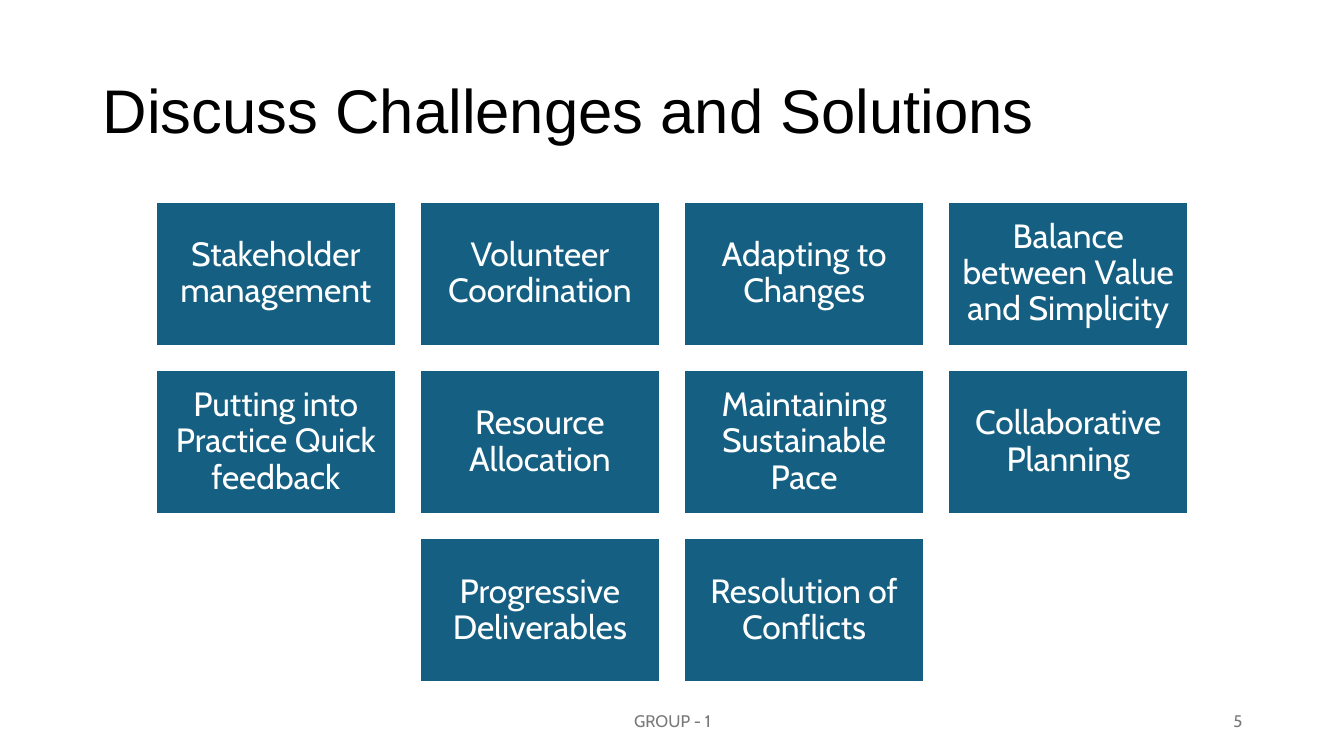
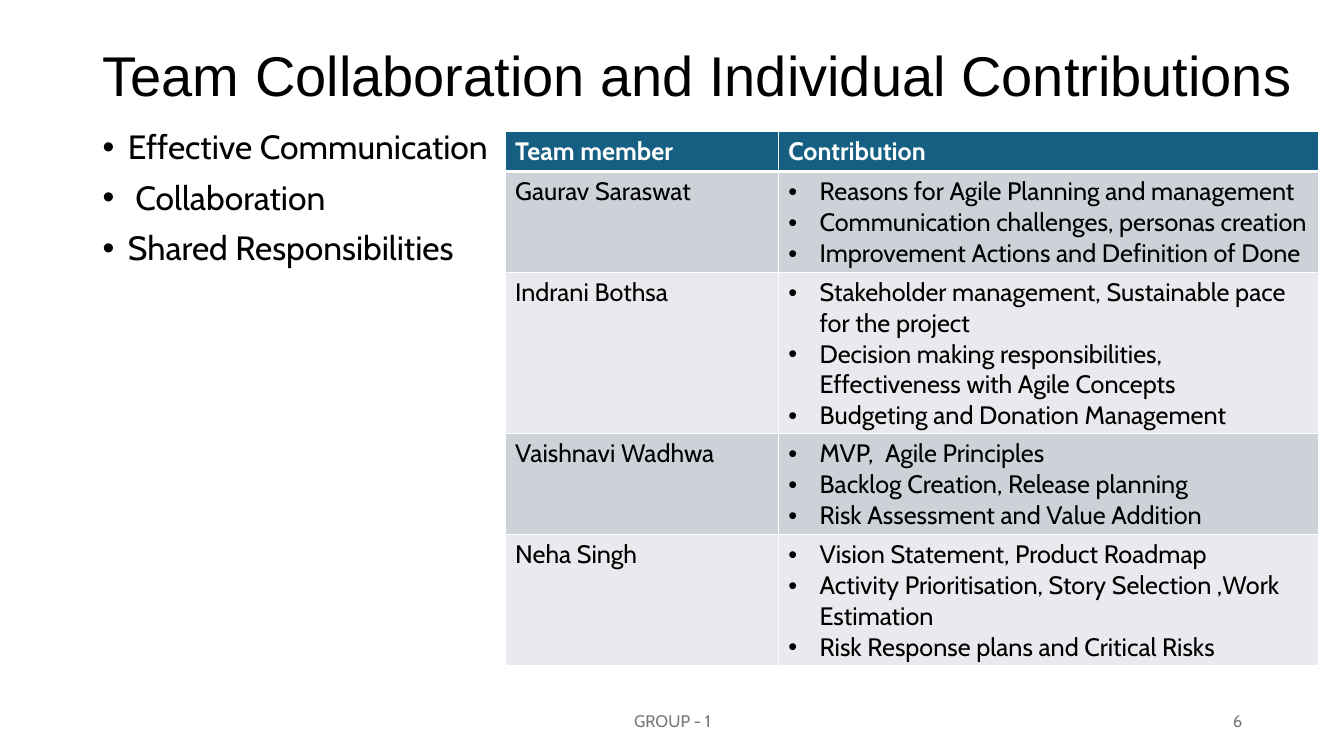
from lxml.etree import SubElement as Sub
from pptx import Presentation
from pptx.dml.color import RGBColor as Color
from pptx.enum.shapes import MSO_SHAPE as Kind
from pptx.enum.text import MSO_ANCHOR as Anchor, PP_ALIGN as Align
from pptx.oxml.ns import qn
from pptx.util import Inches, Pt

BLUE = Color(0x15, 0x60, 0x82)
WHITE = Color(0xFF, 0xFF, 0xFF)
BLACK = Color(0, 0, 0)
GRAY = Color(0x79, 0x79, 0x79)
BANDS = (Color(0xCC, 0xD2, 0xD8), Color(0xE8, 0xEA, 0xED))
HEAD, BODY = "Arial", "Cabin"
WIDE, HIGH = 13.33, 7.5

TILES = [
    ["Stakeholder management", "Volunteer Coordination",
     "Adapting to Changes", "Balance between Value and Simplicity"],
    ["Putting into Practice Quick feedback", "Resource Allocation",
     "Maintaining Sustainable Pace", "Collaborative Planning"],
    ["Progressive Deliverables", "Resolution of Conflicts"],
]
POINTS = ["Effective Communication", " Collaboration", "Shared Responsibilities"]
TEAM = [
    ("Gaurav Saraswat", ["Reasons for Agile Planning and management",
                         "Communication challenges, personas creation",
                         "Improvement Actions and Definition of Done"]),
    ("Indrani Bothsa", ["Stakeholder management, Sustainable pace for the project",
                        "Decision making responsibilities, Effectiveness with Agile Concepts",
                        "Budgeting and Donation Management"]),
    ("Vaishnavi Wadhwa", ["MVP,  Agile Principles",
                          "Backlog Creation, Release planning",
                          "Risk Assessment and Value Addition"]),
    ("Neha Singh", ["Vision Statement, Product Roadmap",
                    "Activity Prioritisation, Story Selection ,Work Estimation",
                    "Risk Response plans and Critical Risks"]),
]


class Deck:
    """Hold the shared style and the slide being built."""

    def __init__(self):
        self.show = Presentation()
        self.show.slide_width = Inches(WIDE)
        self.show.slide_height = Inches(HIGH)

    def page(self, title, size, box, num):
        self.slide = self.show.slides.add_slide(self.show.slide_layouts[6])
        self.label(box, [title], size, BLACK, font=HEAD, line=0.9, after=6)
        self.label((4.42, 6.95, 4.5, 0.4), ["GROUP - 1"], 12, GRAY, align=Align.CENTER)
        self.label((9.42, 6.95, 3, 0.4), [str(num)], 12, GRAY, align=Align.RIGHT)

    def words(self, frame, lines, size, color, font=BODY, bold=False,
              align=Align.LEFT, line=None, before=0, after=0, indent=0):
        frame.text = "\n".join(lines)
        for para in frame.paragraphs:
            para.alignment = align
            para.line_spacing = line
            para.space_before, para.space_after = Pt(before), Pt(after)
            if indent:
                self.bullet(para, indent)
            for run in para.runs:
                run.font.name, run.font.size = font, Pt(size)
                run.font.bold = bold
                run.font.color.rgb = color

    def bullet(self, para, indent):
        props = para._p.get_or_add_pPr()
        props.set("marL", str(Inches(indent)))
        props.set("indent", str(Inches(-indent)))
        Sub(props, qn("a:buFont"), typeface=HEAD)
        Sub(props, qn("a:buChar"), char="•")

    def label(self, box, lines, size, color, anchor=Anchor.MIDDLE, **style):
        frame = self.slide.shapes.add_textbox(*map(Inches, box)).text_frame
        frame.word_wrap = True
        frame.vertical_anchor = anchor
        self.words(frame, lines, size, color, **style)

    def tile(self, box, text):
        shape = self.slide.shapes.add_shape(Kind.RECTANGLE, *map(Inches, box))
        shape.shadow.inherit = False
        shape.fill.solid()
        shape.fill.fore_color.rgb = BLUE
        shape.line.color.rgb = WHITE
        shape.line.width = Pt(1.5)
        frame = shape.text_frame
        frame.word_wrap = True
        frame.vertical_anchor = Anchor.MIDDLE
        frame.margin_left = frame.margin_right = Inches(0.1)
        frame.margin_top = frame.margin_bottom = Inches(0.1)
        self.words(frame, [text], 24, WHITE, align=Align.CENTER, line=0.9)

    def grid(self, rows, top, wide, high, gap):
        for i, row in enumerate(rows):
            left = (WIDE - len(row) * (wide + gap) + gap) / 2
            for j, text in enumerate(row):
                self.tile((left + j * (wide + gap), top + i * (high + gap), wide, high), text)

    def cell(self, cell, lines, fill, color, top=1, base=1, **style):
        self.words(cell.text_frame, lines, 18, color, **style)
        props = cell._tc.get_or_add_tcPr()
        for side, width in zip("LRTB", (1, 1, top, base)):
            edge = Sub(props, qn(f"a:ln{side}"), w=str(Pt(width)))
            Sub(Sub(edge, qn("a:solidFill")), qn("a:srgbClr"), val=str(WHITE))
        cell.fill.solid()
        cell.fill.fore_color.rgb = fill

    def table(self, left, top, wides, highs, heads, rows):
        size = map(Inches, (left, top, sum(wides), sum(highs)))
        table = self.slide.shapes.add_table(len(highs), len(wides), *size).table
        for col, wide in zip(table.columns, wides):
            col.width = Inches(wide)
        for row, high in zip(table.rows, highs):
            row.height = Inches(high)
        for j, text in enumerate(heads):
            self.cell(table.cell(0, j), [text], BLUE, WHITE, base=3, bold=True)
        for i, (name, tasks) in enumerate(rows, 1):
            fill, edge = BANDS[(i - 1) % 2], 3 if i == 1 else 1
            self.cell(table.cell(i, 0), [name], fill, BLACK, top=edge)
            self.cell(table.cell(i, 1), tasks, fill, BLACK, top=edge, indent=0.31)


def main():
    deck = Deck()
    deck.page("Discuss Challenges and Solutions", 44, (0.92, 0.4, 11.5, 1.45), 5)
    deck.grid(TILES, 2, 2.38, 1.43, 0.24)

    deck.page("Team Collaboration and Individual Contributions", 40,
              (0.92, 0.4, 12.16, 0.76), 6)
    deck.label((0.92, 1.25, 4.09, 1.6), POINTS, 24, BLACK, anchor=Anchor.TOP,
               line=0.9, before=10, indent=0.25)
    deck.table(5.01, 1.3, (2.71, 5.36), (0.39, 0.97, 1.55, 0.97, 1.26),
               ("Team member", "Contribution"), TEAM)
    deck.show.save("out.pptx")


if __name__ == "__main__":
    main()
